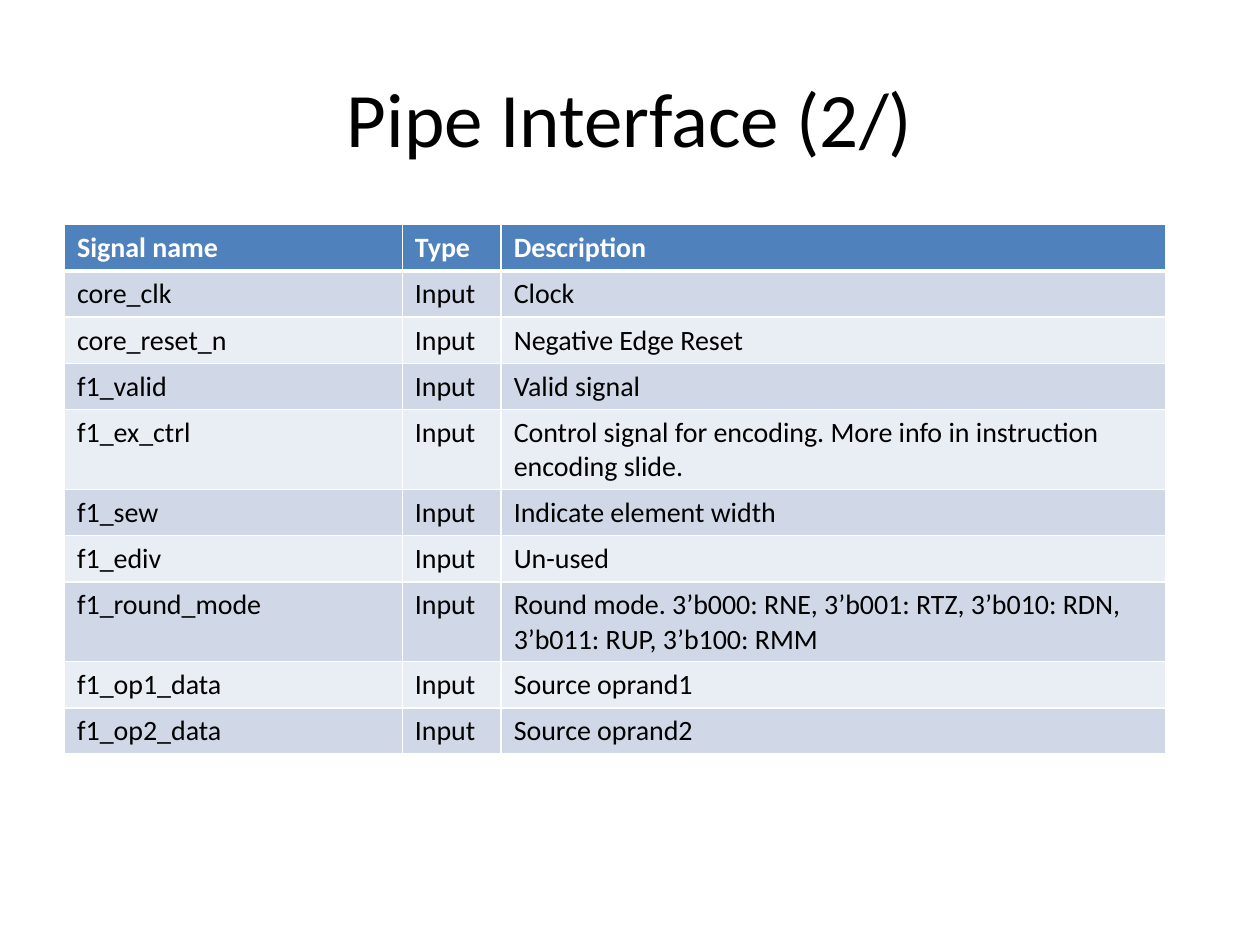
from dataclasses import dataclass

import pptx
import pptx.dml.color
import pptx.enum.text
import pptx.oxml
import pptx.oxml.ns
import pptx.util

Pt = pptx.util.Pt


@dataclass(frozen=True)
class Theme:
    font: str = "Calibri"
    title_size: float = 44
    table_size: float = 16
    text: str = "000000"
    header_text: str = "FFFFFF"
    header_fill: str = "4F81BD"
    odd_fill: str = "D0D8E8"
    even_fill: str = "E9EDF4"
    border: str = "FFFFFF"
    thin: float = 1
    thick: float = 3


THEME = Theme()
COLUMN_WIDTHS = (193, 56.5, 380)
MIN_ROW_HEIGHT = 18
HEADINGS = ("Signal name", "Type", "Description")
SIGNALS = (
    ("core_clk", "Clock"),
    ("core_reset_n", "Negative Edge Reset"),
    ("f1_valid", "Valid signal"),
    ("f1_ex_ctrl", "Control signal for encoding. More info in instruction encoding slide."),
    ("f1_sew", "Indicate element width"),
    ("f1_ediv", "Un-used"),
    ("f1_round_mode", "Round mode. 3’b000: RNE, 3’b001: RTZ, 3’b010: RDN, 3’b011: RUP, 3’b100: RMM"),
    ("f1_op1_data", "Source oprand1"),
    ("f1_op2_data", "Source oprand2"),
)


def rgb(color):
    return pptx.dml.color.RGBColor.from_string(color)


def write(frame, text, *, size, color=THEME.text, bold=False, align=None):
    paragraph = frame.paragraphs[0]
    paragraph.alignment = align
    run = paragraph.add_run()
    run.text = text
    run.font.name = THEME.font
    run.font.size = Pt(size)
    run.font.bold = bold
    run.font.color.rgb = rgb(color)


def set_borders(cell, *, top, bottom):
    """Line all four sides; the left and right sides are always thin."""
    properties = cell._tc.get_or_add_tcPr()
    for side, width in (("L", THEME.thin), ("R", THEME.thin), ("T", top), ("B", bottom)):
        properties.append(pptx.oxml.parse_xml(
            f'<a:ln{side} {pptx.oxml.ns.nsdecls("a")} w="{Pt(width)}">'
            f'<a:solidFill><a:srgbClr val="{THEME.border}"/></a:solidFill></a:ln{side}>'))


def add_title(slide, text, left, top, width, height):
    title = slide.shapes.add_textbox(Pt(left), Pt(top), Pt(width), Pt(height))
    frame = title.text_frame
    frame.word_wrap = True
    frame.vertical_anchor = pptx.enum.text.MSO_ANCHOR.MIDDLE
    write(frame, text, size=THEME.title_size, align=pptx.enum.text.PP_ALIGN.CENTER)


def add_signal_table(slide, left, top, width, height):
    rows = [HEADINGS] + [(name, "Input", description) for name, description in SIGNALS]
    table_frame = slide.shapes.add_table(
        len(rows), len(HEADINGS), Pt(left), Pt(top), Pt(width), Pt(height))
    signals = table_frame.table
    for column, share in zip(signals.columns, COLUMN_WIDTHS):
        column.width = Pt(width * share / sum(COLUMN_WIDTHS))
    for index, texts in enumerate(rows):
        signals.rows[index].height = Pt(MIN_ROW_HEIGHT)
        is_header = index == 0
        if is_header:
            fill = THEME.header_fill
        else:
            fill = THEME.odd_fill if index % 2 else THEME.even_fill
        for column, text in enumerate(texts):
            cell = signals.cell(index, column)
            set_borders(cell,
                        top=THEME.thick if index == 1 else THEME.thin,
                        bottom=THEME.thick if is_header else THEME.thin)
            cell.fill.solid()
            cell.fill.fore_color.rgb = rgb(fill)
            write(cell.text_frame, text, size=THEME.table_size, bold=is_header,
                  color=THEME.header_text if is_header else THEME.text)
    # Rows grow to fit their text, so the frame is taller than the row minimums.
    table_frame.height = Pt(height)


def main():
    deck = pptx.Presentation()
    deck.slide_width, deck.slide_height = Pt(720), Pt(540)
    slide = deck.slides.add_slide(deck.slide_layouts[6])
    add_title(slide, "Pipe Interface (2/)", 36, 21.6, 648, 90)
    add_signal_table(slide, 36.9, 128.4, 629.5, 302.4)
    deck.save("out.pptx")


if __name__ == "__main__":
    main()
